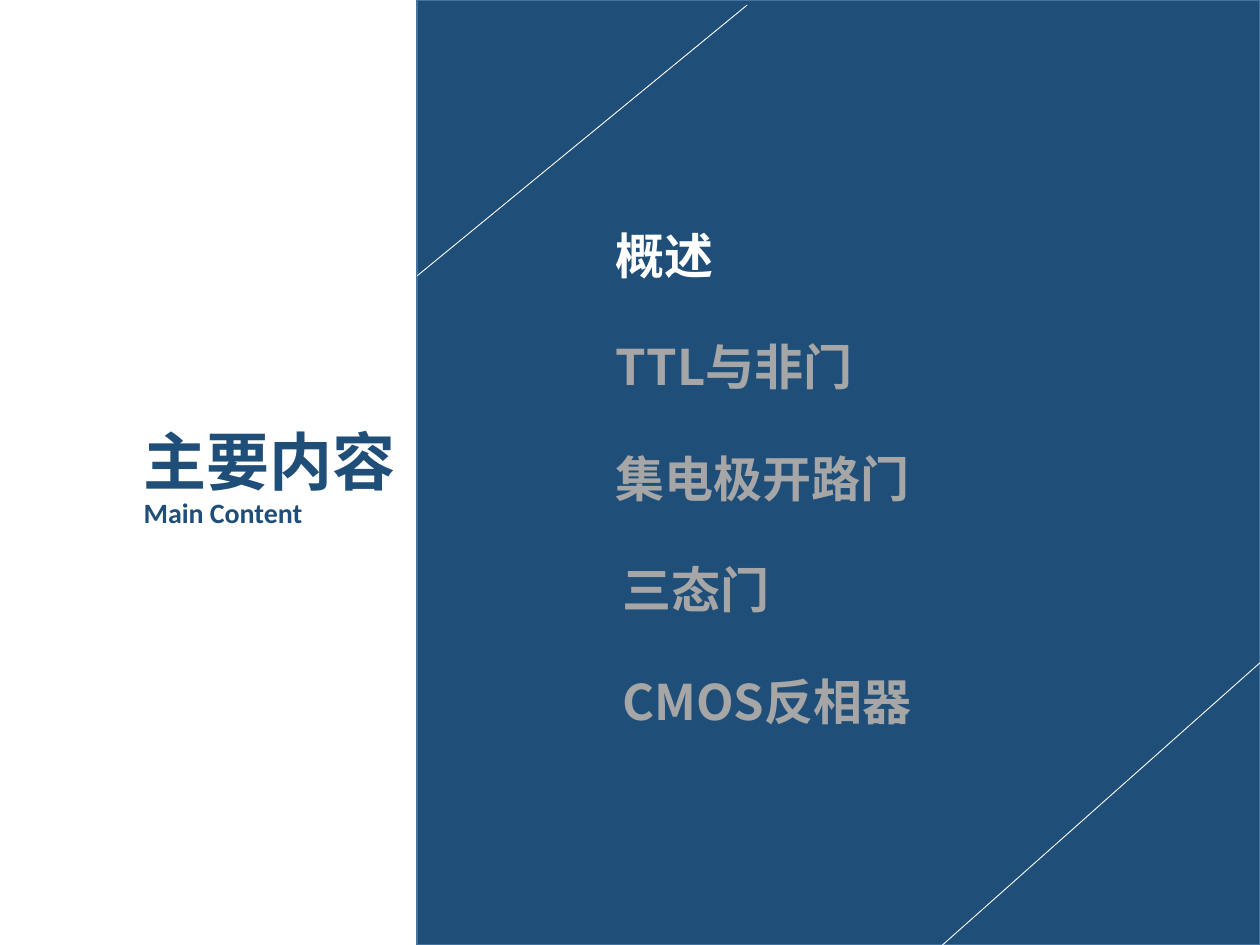
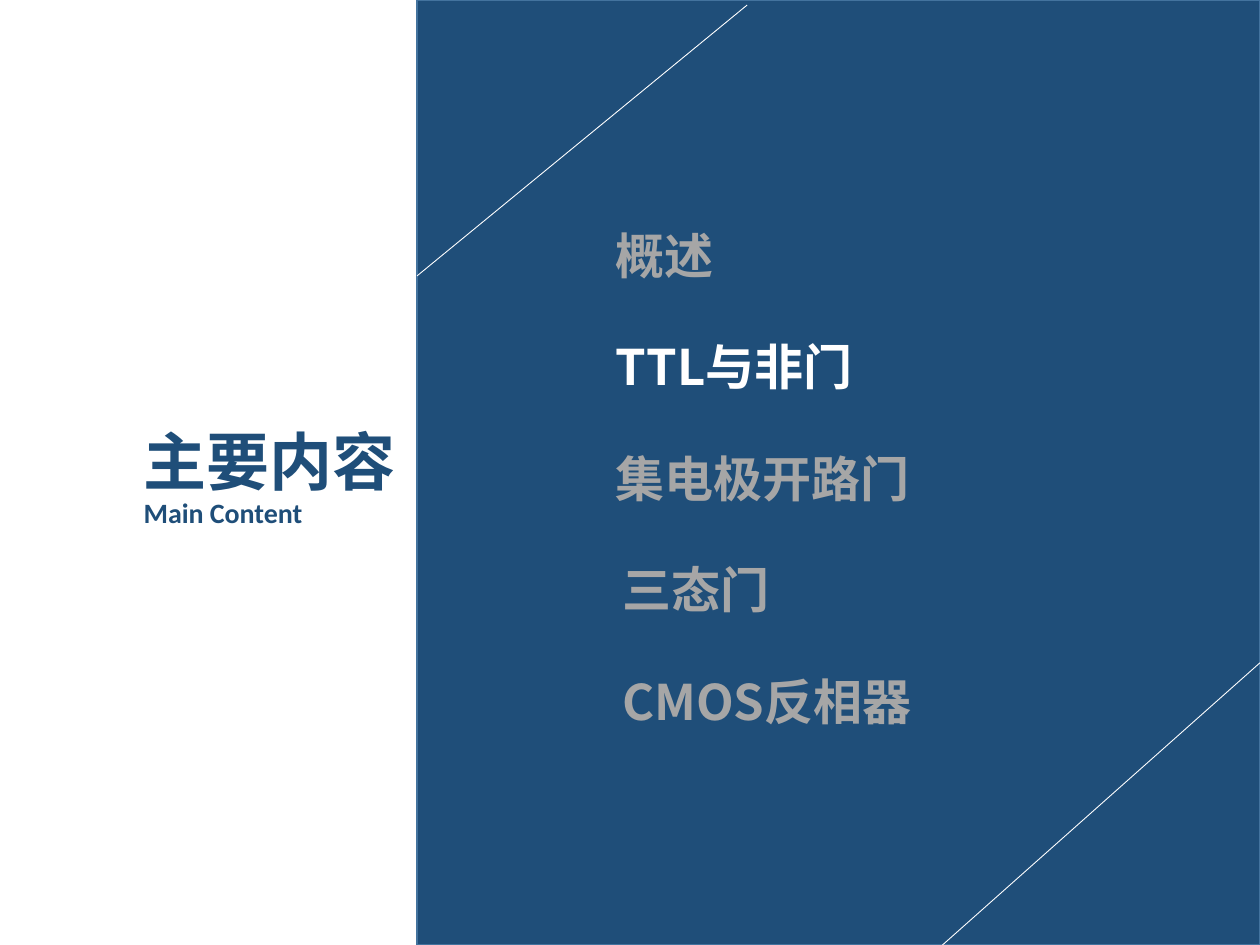
from lxml.etree import SubElement
from pptx import Presentation
from pptx.dml.color import RGBColor
from pptx.enum.shapes import MSO_CONNECTOR, MSO_SHAPE
from pptx.enum.text import MSO_ANCHOR, MSO_AUTO_SIZE, PP_ALIGN
from pptx.oxml.ns import qn
from pptx.util import Inches, Pt

COLORS = {"navy": "1F4E79", "edge": "43739E", "white": "FFFFFF", "gray": "A6A6A6"}
HAN, LATIN = "Noto Sans CJK SC", "Calibri"
WIDTH, HEIGHT = 10, 7.5
SPLIT = 3.31  # left edge of the panel

# topic, left, width
TOPICS = [
    ("概述", 4.79, 2.93),
    ("TTL与非门", 4.79, 2.71),
    ("集电极开路门", 4.79, 3.27),
    ("三态门", 4.84, 3.27),
    ("CMOS反相器", 4.84, 4.35),
]
FIRST, LAST = 1.79, 5.33  # tops of the first and last topic
STEP = (LAST - FIRST) / (len(TOPICS) - 1)


def rgb(name):
    return RGBColor.from_string(COLORS[name])


def write(para, text, size=28, font=HAN, color="gray"):
    para.alignment = PP_ALIGN.LEFT
    para.line_spacing = 0.9
    run = para.add_run()
    run.text = text
    run.font.size = Pt(size)
    run.font.bold = True
    run.font.color.rgb = rgb(color)
    run.font.name = font
    SubElement(run.font._element, qn("a:ea"), typeface=font)


def setup(frame):
    """Wrap the text from the top of a box that keeps its size."""
    frame.word_wrap = True
    frame.auto_size = MSO_AUTO_SIZE.NONE
    frame.vertical_anchor = MSO_ANCHOR.TOP


def add_title(slide):
    title = slide.shapes.title
    title.left, title.top = Inches(1.04), Inches(3.37)
    title.width, title.height = Inches(2.27), Inches(0.98)
    frame = title.text_frame
    setup(frame)
    write(frame.paragraphs[0], "主要内容", size=36, color="navy")
    write(frame.add_paragraph(), "Main Content", size=16, font=LATIN, color="navy")


def add_panel(slide):
    panel = slide.shapes.add_shape(
        MSO_SHAPE.RECTANGLE, Inches(SPLIT), 0, Inches(WIDTH - SPLIT), Inches(HEIGHT))
    panel.shadow.inherit = False
    panel.fill.solid()
    panel.fill.fore_color.rgb = rgb("navy")
    panel.line.color.rgb = rgb("edge")
    panel.line.width = Pt(1)


def add_line(slide, *ends):
    line = slide.shapes.add_connector(
        MSO_CONNECTOR.STRAIGHT, *(Inches(end) for end in ends))
    line.line.color.rgb = rgb("white")
    line.line.width = Pt(0.5)
    SubElement(line._element.spPr, qn("a:effectLst"))


def add_menu(slide, active):
    for row, (topic, left, width) in enumerate(TOPICS):
        box = slide.shapes.add_textbox(
            Inches(left), Inches(FIRST + row * STEP), Inches(width), Inches(0.57))
        setup(box.text_frame)
        write(box.text_frame.paragraphs[0], topic,
              color="white" if row == active else "gray")


def add_agenda(deck, active):
    slide = deck.slides.add_slide(deck.slide_layouts[5])
    add_title(slide)
    add_panel(slide)
    add_line(slide, 5.93, 0.04, SPLIT, 2.19)
    add_line(slide, WIDTH, 5.26, 7.48, HEIGHT)
    add_menu(slide, active)


def main():
    deck = Presentation()
    deck.slide_width, deck.slide_height = Inches(WIDTH), Inches(HEIGHT)
    for active in range(2):
        add_agenda(deck, active)
    deck.save("out.pptx")


if __name__ == "__main__":
    main()
